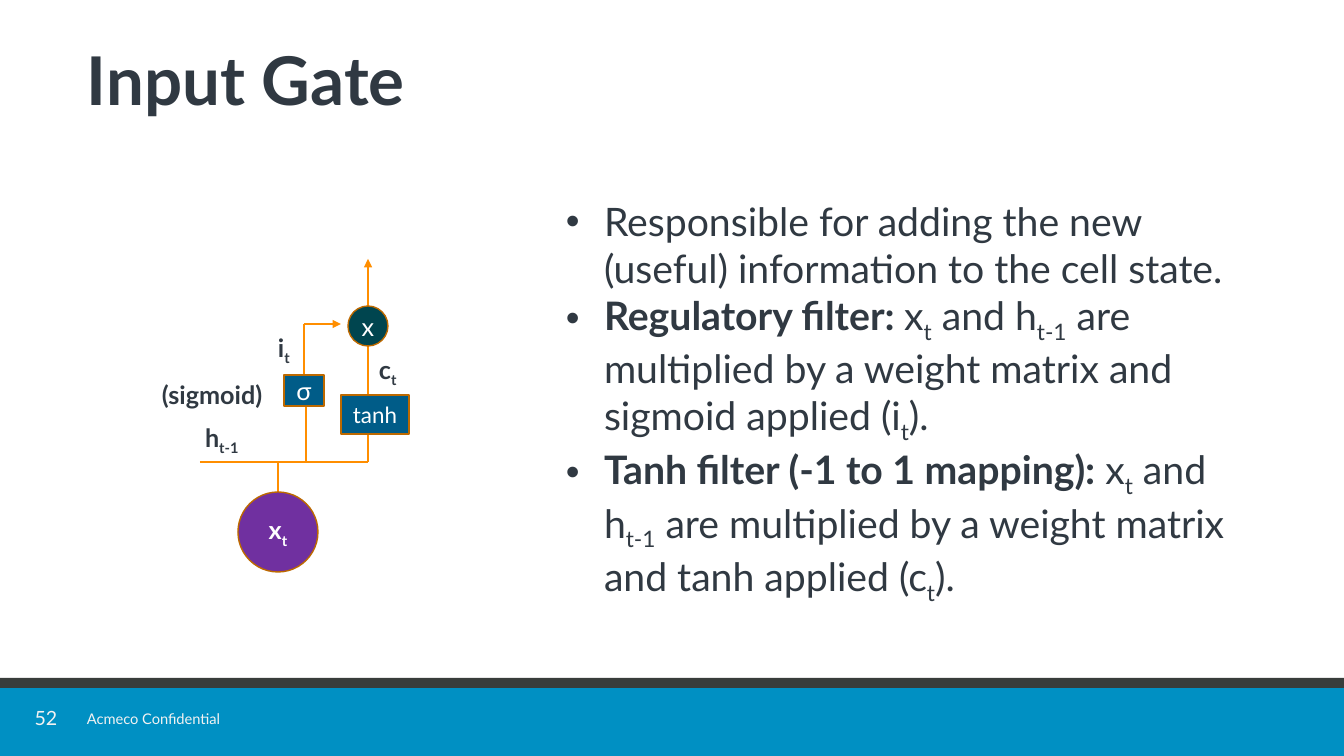
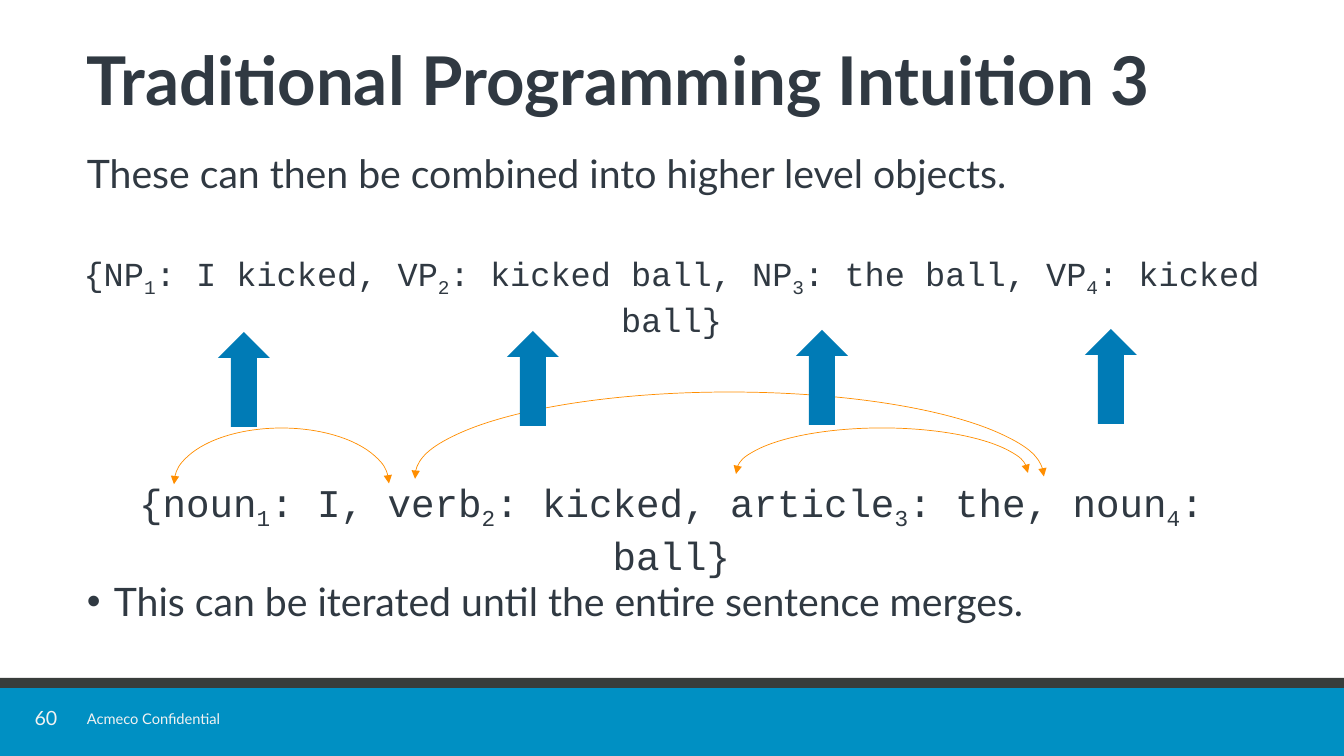
from lxml import etree
from pptx import Presentation
from pptx import util as u
from pptx.dml.color import RGBColor
from pptx.enum import shapes, text
from pptx.oxml.ns import qn

PX = 12192000 / 1344  # EMU in one px
KIND = shapes.MSO_SHAPE
TOP, MIDDLE = text.MSO_ANCHOR.TOP, text.MSO_ANCHOR.MIDDLE
LEFT, CENTER = text.PP_ALIGN.LEFT, text.PP_ALIGN.CENTER


class Theme:
    sans, mono = "Lato", "Courier New"
    ink, white, pale = "303942", "FFFFFF", "F2F2F2"
    band, stripe = "0090C3", "383D3B"
    orange, brown = "FF8E00", "BD6900"
    teal, navy, purple, blue = "00454F", "005C88", "7030A0", "007BB6"
    title, body, code, label, small, number, footer = 48, 28, 24, 18, 16, 14, 10.5


def add(s, box, words="", kind=None, fill=None, line=None, size=Theme.body,
        font=Theme.sans, color=Theme.ink, align=LEFT, anchor=TOP, spacing=None,
        inset=(10, 5), wrap=True, bullet=0):
    """Add a text box or a preset shape. In words, *...* is bold, ~...~ is
    subscript and a line break starts a paragraph."""
    place = [round(v * PX) for v in box]
    if kind is None:
        sp = s.shapes.add_textbox(*place)
    else:
        sp = s.shapes.add_shape(kind, *place)
        sp.shadow.inherit = False
        if fill:
            sp.fill.solid()
            sp.fill.fore_color.rgb = RGBColor.from_string(fill)
        else:
            sp.fill.background()
        if line:
            sp.line.color.rgb = RGBColor.from_string(line)
            sp.line.width = u.Pt(1)
        else:
            sp.line.fill.background()
    if not words:
        return sp

    tf = sp.text_frame
    tf.word_wrap = wrap
    tf.vertical_anchor = anchor
    tf.margin_left = tf.margin_right = round(inset[0] * PX)
    tf.margin_top = tf.margin_bottom = round(inset[1] * PX)
    for i, row in enumerate(words.split("\n")):
        p = tf.add_paragraph() if i else tf.paragraphs[0]
        p.alignment = align
        if spacing:
            p.line_spacing = spacing
        if bullet:
            pPr = p._p.get_or_add_pPr()
            pPr.set("marL", str(round(bullet * PX)))
            pPr.set("indent", str(round(-bullet * PX)))
            etree.SubElement(pPr, qn("a:buFont")).set("typeface", "Arial")
            etree.SubElement(pPr, qn("a:buChar")).set("char", "•")
        for b, part in enumerate(row.split("*")):
            for d, piece in enumerate(part.split("~")):
                if not piece:
                    continue
                r = p.add_run()
                r.text = piece
                r.font.name = font
                r.font.size = u.Pt(size)
                r.font.bold = b % 2 == 1
                r.font.color.rgb = RGBColor.from_string(color)
                if d % 2:
                    r._r.get_or_add_rPr().set("baseline", "-25000")
    return sp


def stroke(sp, width, *ends):
    """Give an outline its colour, width and arrowheads."""
    sp.line.color.rgb = RGBColor.from_string(Theme.orange)
    sp.line.width = u.Pt(width)
    for end in ends:
        etree.SubElement(sp.line._get_or_add_ln(), qn(end)).set("type", "triangle")


prs = Presentation()
prs.slide_width, prs.slide_height = round(1344 * PX), round(756 * PX)

# Shared bands, page number, footer and title
slides = []
for number, title in [("52", "Input Gate"),
                      ("60", "Traditional Programming Intuition 3")]:
    s = prs.slides.add_slide(prs.slide_layouts[6])
    add(s, (0, 678, 1344, 78), kind=KIND.RECTANGLE, fill=Theme.band)
    add(s, (0, 678, 1344, 10), kind=KIND.RECTANGLE, fill=Theme.stripe)
    add(s, (33, 708, 26, 23), number, size=Theme.number, color=Theme.pale,
        align=CENTER, anchor=MIDDLE, spacing=0.9, inset=(0, 0), wrap=False)
    add(s, (77, 705, 161, 28), "Acmeco Confidential", size=Theme.footer,
        color=Theme.pale, wrap=False)
    add(s, (77, 32, 1200, 109), f"*{title}*", size=Theme.title,
        anchor=MIDDLE, spacing=0.8)
    slides.append(s)
gate, intuition = slides

# Input gate: wires
for x1, y1, x2, y2, *ends in [
    (368, 462, 368, 259, "a:tailEnd"),
    (306, 462, 306, 406),
    (200, 462, 368, 462),
    (278, 492, 278, 462),
    (304, 375, 304, 324),
    (304, 324, 341, 324, "a:tailEnd"),
]:
    wire = gate.shapes.add_connector(
        shapes.MSO_CONNECTOR.STRAIGHT, *[round(v * PX) for v in (x1, y1, x2, y2)])
    stroke(wire, 2, *ends)
    etree.SubElement(wire._element.spPr, qn("a:effectLst"))

# Input gate: nodes
for box, words, kind, fill, size in [
    ((348, 306, 40, 40), "x", KIND.OVAL, Theme.teal, Theme.label),
    ((341, 395, 68, 39), "tanh", KIND.RECTANGLE, Theme.navy, Theme.small),
    ((284, 375, 40, 31), "σ", KIND.RECTANGLE, Theme.navy, Theme.label),
    ((238, 492, 80, 80), "*x~t~*", KIND.OVAL, Theme.purple, Theme.label),
]:
    add(gate, box, words, kind=kind, fill=fill, line=Theme.brown, size=size,
        color=Theme.white, align=CENTER, anchor=MIDDLE, inset=(0, 0))

# Input gate: labels
for x, y, w, words in [(195, 417, 78, "h~t-1~"), (369, 349, 40, "c~t~"),
                       (268, 327, 51, "i~t~"), (152, 374, 145, "(sigmoid)")]:
    add(gate, (x, y, w, 40), f"*{words}*", size=Theme.label, wrap=False)

# Input gate: explanation
add(gate, (556, 192, 688, 390),
    "Responsible for adding the new (useful) information to the cell state.\n"
    "*Regulatory filter: *x~t~ and h~t-1~ are multiplied by a weight matrix "
    "and sigmoid applied (i~t~).\n"
    "*Tanh filter (-1 to 1 mapping):* x~t~ and h~t-1~ are multiplied by a "
    "weight matrix and tanh applied (c~t~).", bullet=38)

# Intuition: statements
add(intuition, (77, 144, 1200, 57),
    "These can then be combined into higher level objects.")
add(intuition, (77, 572, 1200, 57),
    "This can be iterated until the entire sentence merges.", bullet=27)

# Intuition: token and phrase lists
add(intuition, (100, 473, 1143, 57),
    "{noun~1~: I, verb~2~: kicked, article~3~: the, noun~4~: ball}",
    font=Theme.mono, align=CENTER)
add(intuition, (56, 248, 1231, 50),
    "{NP~1~: I kicked, VP~2~: kicked ball, NP~3~: the ball, VP~4~: kicked ball}",
    size=Theme.code, font=Theme.mono, align=CENTER)

# Intuition: arcs joining the words
for box in [(736, 428, 292, 90), (415, 392, 629, 169), (174, 428, 215, 111)]:
    arc = add(intuition, box, kind=KIND.ARC)
    arc.adjustments[0], arc.adjustments[1] = 107.75, 0
    stroke(arc, 0.5, "a:headEnd", "a:tailEnd")

# Intuition: arrows up to the phrases
for i in range(4):
    add(intuition, (218 + 289 * i, 332 - i, 52, 95), kind=KIND.UP_ARROW,
        fill=Theme.blue)

prs.save("out.pptx")
